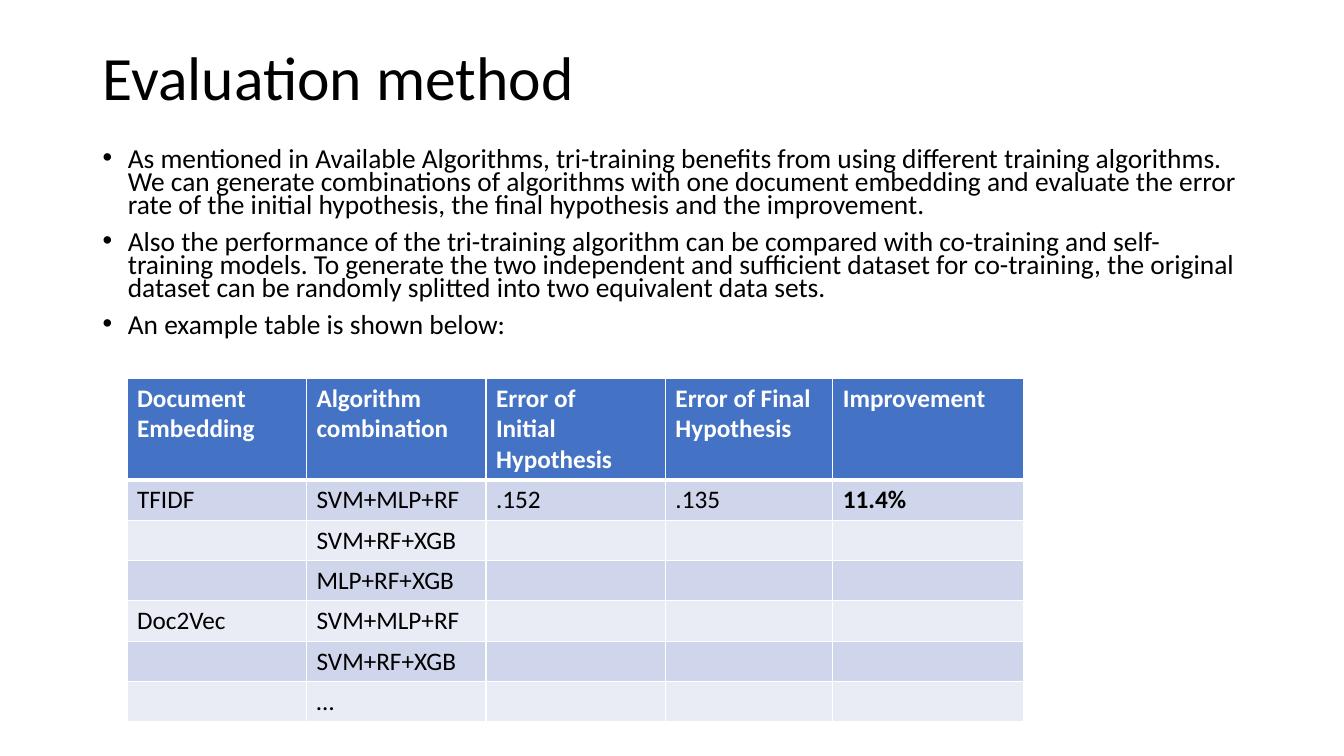
from lxml import etree
from pptx import Presentation
from pptx.dml.color import RGBColor
from pptx.enum.text import MSO_ANCHOR
from pptx.oxml.ns import qn
from pptx.util import Inches, Pt

MIDDLE = MSO_ANCHOR.MIDDLE
TOP = MSO_ANCHOR.TOP
FONT = "Calibri"
BLACK, WHITE = "000000", "FFFFFF"
HEADER_FILL = "4472C4"
BAND_FILLS = ("CFD5EA", "E9EBF5")

POINTS = [
    "As mentioned in Available Algorithms, tri-training benefits from using "
    "different training algorithms.  We can generate combinations of algorithms "
    "with one document embedding and evaluate the error rate of the initial "
    "hypothesis, the final hypothesis and the improvement. ",
    "Also the performance of the tri-training algorithm can be compared with "
    "co-training and self-training models. To generate the two independent and "
    "sufficient dataset for co-training, the original dataset can be randomly "
    "splitted into two equivalent data sets.",
    "An example table is shown below:",
]
COLUMN_WIDTHS = (1.78, 1.78, 1.78, 1.66, 1.89)
HEADER_HEIGHT, ROW_HEIGHT = 1.01, 0.4
RESULTS = [
    ("Document Embedding", "Algorithm combination", "Error of\nInitial Hypothesis",
     "Error of Final Hypothesis", "Improvement"),
    ("TFIDF", "SVM+MLP+RF", ".152", ".135 ", "11.4%"),
    ("", "SVM+RF+XGB", "", "", ""),
    ("", "MLP+RF+XGB", "", "", ""),
    ("Doc2Vec", "SVM+MLP+RF", "", "", ""),
    ("", "SVM+RF+XGB", "", "", ""),
    ("", "…", "", "", ""),
]


def rgb(value):
    """Turn a hex string into a colour."""
    return RGBColor.from_string(value)


def style_font(paragraph, size, color=BLACK, bold=False):
    """Format a paragraph and all of its runs."""
    for font in [paragraph.font] + [run.font for run in paragraph.runs]:
        font.name = FONT
        font.size = Pt(size)
        font.bold = bold
        font.color.rgb = rgb(color)


def add_text(slide, left, top, width, height, lines, size, spacing, anchor=TOP):
    """Add a wrapping text box and return its paragraphs."""
    box = slide.shapes.add_textbox(
        Inches(left), Inches(top), Inches(width), Inches(height))
    frame = box.text_frame
    frame.word_wrap = True
    frame.vertical_anchor = anchor
    frame.text = "\n".join(lines)
    for paragraph in frame.paragraphs:
        paragraph.line_spacing = spacing
        style_font(paragraph, size)
    return frame.paragraphs


def add_bullet(paragraph):
    """Give a paragraph a round bullet with a hanging indent."""
    properties = paragraph._p.get_or_add_pPr()
    properties.set("marL", str(Inches(0.25)))
    properties.set("indent", str(-Inches(0.25)))
    etree.SubElement(properties, qn("a:buFont"), typeface="Arial")
    etree.SubElement(properties, qn("a:buChar"), char="•")


def add_border(cell, side, width):
    """Draw a white line along one side of a cell."""
    line = etree.SubElement(
        cell._tc.get_or_add_tcPr(), qn(f"a:{side}"), w=str(Pt(width)))
    fill = etree.SubElement(line, qn("a:solidFill"))
    etree.SubElement(fill, qn("a:srgbClr"), val=WHITE)


def fill_cell(cell, text, row, column):
    """Write and format one cell of the results table."""
    is_header = row == 0
    is_result = row == 1 and column == len(COLUMN_WIDTHS) - 1
    cell.text = text
    for paragraph in cell.text_frame.paragraphs:
        style_font(paragraph, 18, WHITE if is_header else BLACK,
                   is_header or is_result)
    add_border(cell, "lnL", 1)
    add_border(cell, "lnR", 1)
    add_border(cell, "lnT", 3 if row == 1 else 1)
    add_border(cell, "lnB", 3 if is_header else 1)
    cell.fill.solid()
    cell.fill.fore_color.rgb = rgb(
        HEADER_FILL if is_header else BAND_FILLS[(row - 1) % 2])


def add_results_table(slide, left, top):
    """Add the banded table of error rates."""
    height = HEADER_HEIGHT + ROW_HEIGHT * (len(RESULTS) - 1)
    table = slide.shapes.add_table(
        len(RESULTS), len(COLUMN_WIDTHS), Inches(left), Inches(top),
        Inches(sum(COLUMN_WIDTHS)), Inches(height)).table
    for column, width in zip(table.columns, COLUMN_WIDTHS):
        column.width = Inches(width)
    for row, values in enumerate(RESULTS):
        table.rows[row].height = Inches(ROW_HEIGHT if row else HEADER_HEIGHT)
        for column, text in enumerate(values):
            fill_cell(table.cell(row, column), text, row, column)


def main():
    """Build the slide and save it."""
    deck = Presentation()
    deck.slide_width = Inches(13.33)
    deck.slide_height = Inches(7.5)
    slide = deck.slides.add_slide(deck.slide_layouts[6])

    add_text(slide, 0.92, 0.07, 11.5, 1.45, ["Evaluation method"], 44, 0.9, MIDDLE)
    for point in add_text(slide, 0.92, 1.44, 11.5, 2.38, POINTS, 19.6, 0.7):
        point.space_before = Pt(10)
        add_bullet(point)
    add_results_table(slide, 1.26, 3.75)

    deck.save("out.pptx")


main()
